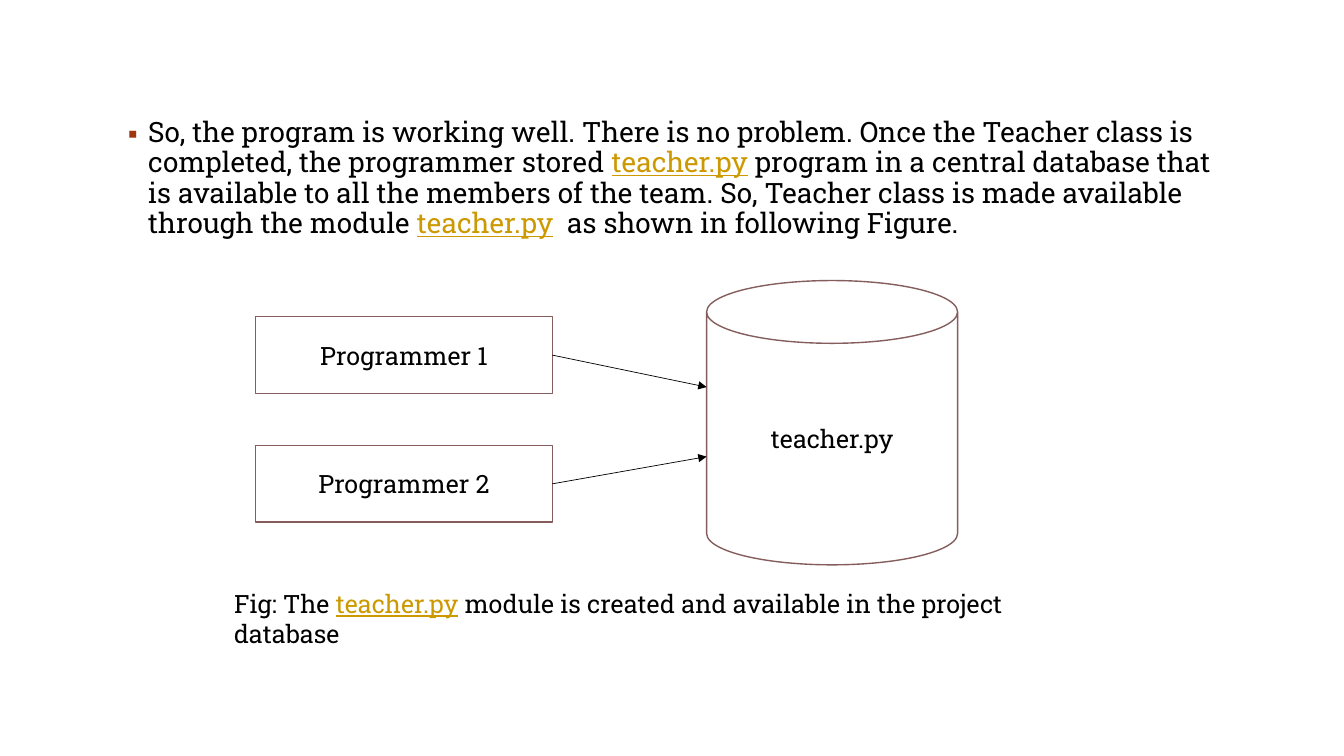
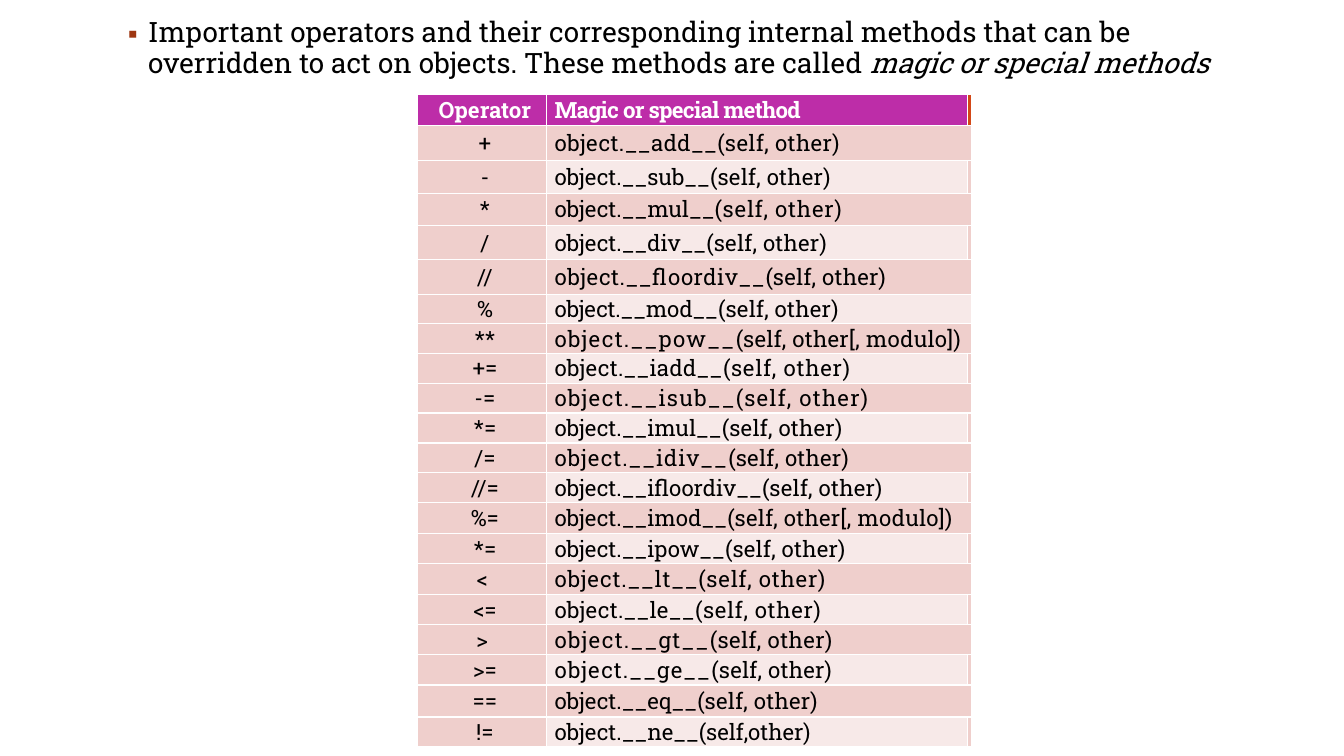
from lxml import etree
from pptx import Presentation
from pptx.dml.color import RGBColor
from pptx.enum import shapes, text
from pptx.oxml.ns import qn
from pptx.util import Pt

# Shared look
FONT = "Roboto Slab"
COLORS = {
    "text": "000000", "link": "CC9900", "bullet": "9E3611", "white": "FFFFFF",
    "outline": "855D5D", "header": "BD2DA8", "header_edge": "D34817",
    "band": "EFCFCC", "band_light": "F7E9E8",
}
LINK = {"color": "link", "underline": True}
BODY_LEFT, BODY_WIDTH = 84.24, 792
CORNER_RING = (900, 492.48, 31.68, 31.68)

# Content of the module slide: runs are (text, style)
MODULE_INTRO = [
    ("So, the program is working well. There is no problem. Once the Teacher class "
     "is completed, the programmer stored ", {}),
    ("teacher.py", LINK),
    (" program in a central database that is available to all the members of the "
     "team. So, Teacher class is made available through the module ", {}),
    ("teacher.py", LINK),
    ("  as shown in following Figure.", {}),
]
CAPTION = [
    ("Fig: The ", {}),
    ("teacher.py", LINK),
    (" module is created and available in the project database", {}),
]
DATABASE = ("teacher.py", (504.72, 200.4, 179.28, 203.04))
# (label, box top, arrow end height)
PROGRAMMERS = [("Programmer 1", 226.3, 276.5), ("Programmer 2", 318.24, 326.16)]
BOX_LEFT, BOX_WIDTH, BOX_HEIGHT = 182.6, 211.9, 54.72

# Content of the operator slide
OPERATOR_INTRO = [
    ("Important operators and their corresponding internal methods that can be "
     "overridden to act on objects. These methods are called ", {}),
    ("magic or special methods", {"italic": True}),
]
HEADERS = ["Operator", "Magic or special method"]
OWNER = "object."
PAIR, MODULO = "(self, other)", "(self, other[, modulo])"
# (operator, method, arguments, spacing of name, spacing of arguments, row height)
OPERATORS = [
    ("+", "add", PAIR, 0.3, 0.3, 25.3),
    ("-", "sub", PAIR, 0, 0.2, 23.2),
    ("*", "mul", PAIR, 0, 0.6, 23),
    ("/", "div", PAIR, 0, 0.2, 24.7),
    ("//", "floordiv", PAIR, 0.4, 0.2, 24.6),
    ("%", "mod", PAIR, -0.1, 0.2, 20.5),
    ("**", "pow", MODULO, 0.9, 0.2, 21),
    ("+=", "iadd", PAIR, 0.2, 0.6, 21.4),
    ("-=", "isub", PAIR, 0.9, 0.9, 21.4),
    ("*=", "imul", PAIR, 0, 0.2, 21.4),
    ("/=", "idiv", PAIR, 0.7, 0.2, 21.4),
    ("//=", "ifloordiv", PAIR, 0, 0.2, 21.4),
    ("%=", "imod", MODULO, 0, 0.2, 21.8),
    ("*=", "ipow", PAIR, 0, 0.2, 21.8),
    ("<\u00a0", "lt", PAIR, 0.6, 0.6, 21.8),
    ("<=", "le", PAIR, 0.2, 0.5, 21.6),
    (">\u00a0", "gt", PAIR, 0.9, 0.3, 21.6),
    (">=", "ge", PAIR, 0.8, 0.2, 21.6),
    ("==", "eq", PAIR, 0, 0.2, 22.8),
    ("!=", "ne", "(self,other)", 0, 0, 18),
]
TABLE_LEFT, TABLE_TOP, HEADER_HEIGHT = 298.08, 67.68, 21.8
COLUMN_WIDTHS = [92.3, 300.7, 2.16]
OPEN_ROWS = {6}  # even row whose method cell also spans the edge column


def rgb(name):
    return RGBColor.from_string(COLORS[name])


def add_run(p, content, size, color="text", underline=None, italic=None,
            bold=None, spacing=0):
    r = p.add_run()
    r.text = content
    f = r.font
    f.name, f.size, f.color.rgb = FONT, Pt(size), rgb(color)
    f.underline, f.italic, f.bold = underline, italic, bold
    if spacing:
        r._r.get_or_add_rPr().set("spc", str(round(spacing * 100)))


def add_runs(p, runs, size):
    for content, style in runs:
        add_run(p, content, size, **style)


def add_bullet(p):
    p_pr = p._p.get_or_add_pPr()
    p_pr.set("marL", str(Pt(14.4)))
    p_pr.set("indent", str(-Pt(14.4)))
    color = etree.SubElement(p_pr, qn("a:buClr"))
    etree.SubElement(color, qn("a:srgbClr"), val=COLORS["bullet"])
    etree.SubElement(p_pr, qn("a:buSzPct"), val="85000")
    etree.SubElement(p_pr, qn("a:buFont"), typeface=FONT)
    etree.SubElement(p_pr, qn("a:buChar"), char="\u25aa")


def add_outlined(s, kind, box, line_color):
    sp = s.shapes.add_shape(kind, *map(Pt, box))
    sp.shadow.inherit = False
    sp.fill.solid()
    sp.fill.fore_color.rgb = rgb("white")
    sp.line.color.rgb, sp.line.width = rgb(line_color), Pt(1)
    return sp


def add_body_slide(runs, top, height):
    s = prs.slides.add_slide(prs.slide_layouts[1])
    title = s.shapes.title._element
    title.getparent().remove(title)
    add_outlined(s, shapes.MSO_SHAPE.OVAL, CORNER_RING, "white").fill.background()
    body = s.placeholders[1]
    body.left, body.top = Pt(BODY_LEFT), Pt(top)
    body.width, body.height = Pt(BODY_WIDTH), Pt(height)
    tf = body.text_frame
    tf.auto_size = text.MSO_AUTO_SIZE.NONE
    p = tf.paragraphs[0]
    p.line_spacing, p.space_before = 0.9, Pt(12)
    add_bullet(p)
    add_runs(p, runs, 20)
    return s


def add_node(s, kind, label, box):
    tf = add_outlined(s, kind, box, "outline").text_frame
    tf.vertical_anchor = text.MSO_ANCHOR.MIDDLE
    p = tf.paragraphs[0]
    p.alignment = text.PP_ALIGN.CENTER
    add_run(p, label, 18)


def add_arrow(s, *ends):
    line = s.shapes.add_connector(shapes.MSO_CONNECTOR.STRAIGHT, *map(Pt, ends))
    line.line.color.rgb, line.line.width = rgb("text"), Pt(0.5)
    etree.SubElement(line.line._get_or_add_ln(), qn("a:tailEnd"), type="triangle")
    etree.SubElement(line._element.spPr, qn("a:effectLst"))


def format_cell(cell, fill, indent=0, centred=False):
    cell.fill.solid()
    cell.fill.fore_color.rgb = rgb(fill)
    cell.margin_left = cell.margin_right = cell.margin_top = cell.margin_bottom = 0
    cell.vertical_anchor = text.MSO_ANCHOR.MIDDLE
    p = cell.text_frame.paragraphs[0]
    p._p.get_or_add_pPr().set("marL", str(Pt(indent)))
    if centred:
        p.alignment = text.PP_ALIGN.CENTER
    return p


def format_edge(cell, fill):
    p = format_cell(cell, fill)
    etree.SubElement(p._p, qn("a:endParaRPr"), sz="800")


prs = Presentation()
prs.slide_width, prs.slide_height = Pt(960), Pt(540)

# Module slide
s = add_body_slide(MODULE_INTRO, 81, 404.64)
caption = s.shapes.add_textbox(Pt(160.1), Pt(416.6), Pt(640.08), Pt(28.8))
caption.text_frame.word_wrap = True
add_runs(caption.text_frame.paragraphs[0], CAPTION, 18)
label, database_box = DATABASE
add_node(s, shapes.MSO_SHAPE.CAN, label, database_box)
for label, top, arrow_end in PROGRAMMERS:
    add_node(s, shapes.MSO_SHAPE.RECTANGLE, label,
             (BOX_LEFT, top, BOX_WIDTH, BOX_HEIGHT))
    add_arrow(s, BOX_LEFT + BOX_WIDTH, top + BOX_HEIGHT / 2,
              database_box[0], arrow_end)

# Operator slide
s = add_body_slide(OPERATOR_INTRO, 9.8, 498.24)
heights = [HEADER_HEIGHT] + [row[-1] for row in OPERATORS]
table = s.shapes.add_table(
    len(heights), len(COLUMN_WIDTHS), Pt(TABLE_LEFT), Pt(TABLE_TOP),
    Pt(sum(COLUMN_WIDTHS)), Pt(sum(heights))).table
for column, width in zip(table.columns, COLUMN_WIDTHS):
    column.width = Pt(width)
for row, height in zip(table.rows, heights):
    row.height = Pt(height)

# Header row
operator, method = HEADERS
p = format_cell(table.cell(0, 0), "header", 4.32, centred=True)
add_run(p, operator, 16, "white", bold=True)
p = format_cell(table.cell(0, 1), "header", 5.76)
add_run(p, method, 16, "white", bold=True, spacing=-0.5)
format_edge(table.cell(0, 2), "header_edge")

# Operator rows
for i, (operator, method, args, name_gap, args_gap, height) in enumerate(OPERATORS, 1):
    p = format_cell(table.cell(i, 0), "band", 4.32, centred=True)
    add_run(p, operator, 16)
    p = format_cell(table.cell(i, 1), "band" if i % 2 else "band_light", 5.76)
    add_run(p, f"{OWNER}__{method}__", 16, spacing=name_gap)
    add_run(p, args, 16, spacing=args_gap)
    format_edge(table.cell(i, 2), "band")
    if i % 2 or i in OPEN_ROWS:
        table.cell(i, 1).merge(table.cell(i, 2))

prs.save("out.pptx")
